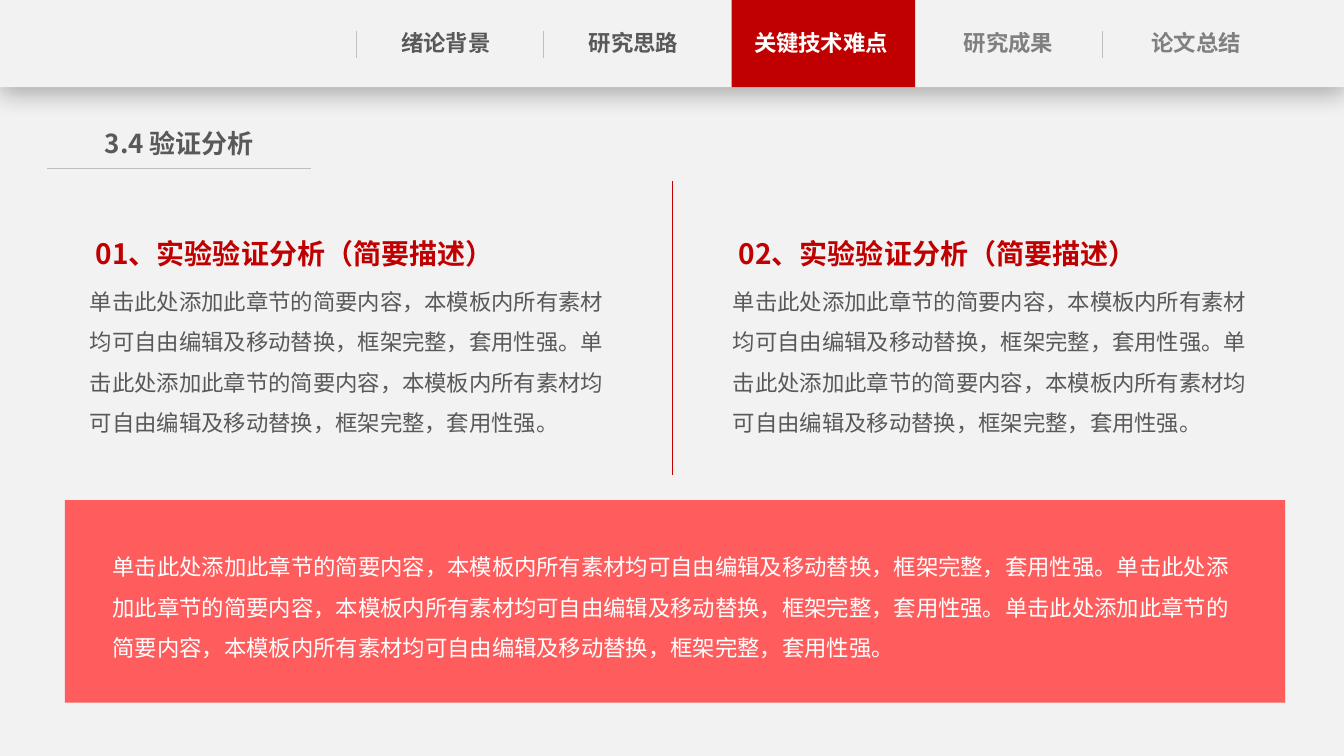
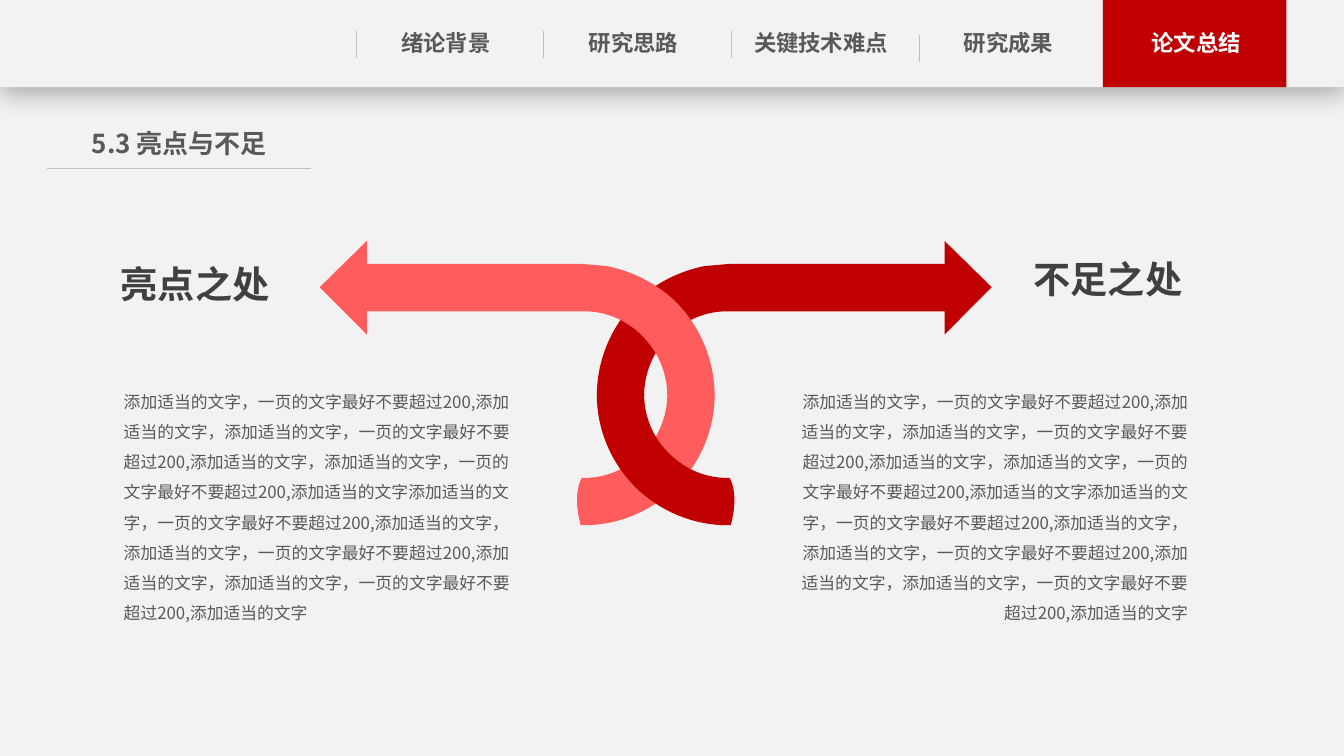
from lxml.etree import SubElement
from pptx import Presentation
from pptx.dml.color import RGBColor as RGB
from pptx.enum.shapes import MSO_CONNECTOR as LINK, MSO_SHAPE as SHAPE
from pptx.enum.text import PP_ALIGN as ALIGN
from pptx.oxml.ns import qn
from pptx.util import Pt

# Shared look
FONT = "Noto Sans CJK SC"
PALE = RGB(0xF2, 0xF2, 0xF2)
WHITE = RGB(0xFF, 0xFF, 0xFF)
RED = RGB(0xC0, 0x00, 0x00)
PINK = RGB(0xFF, 0x5D, 0x5D)
DARK = RGB(0x40, 0x40, 0x40)
TEXT = RGB(0x59, 0x59, 0x59)
GRAY = RGB(0x80, 0x80, 0x80)
RULE = RGB(0xBF, 0xBF, 0xBF)

WIDE, HIGH, BAND = 960, 540, 62.3
TABS = ["绪论背景", "研究思路", "关键技术难点", "研究成果", "论文总结"]
MARKS = [(254.5, 22.3), (388.3, 22.3), (522.5, 22.3), (656.6, 24.8), (787.7, 22.3)]

# Repeated wording
INTRO = "单击此处添加此章节的简要内容，本模板内所有素材均可自由编辑及移动替换，框架完整，套用性强。"
FIRST = "添加适当的文字，一页的文字最好不要超过200,"
AGAIN = "添加适当的文字，" + FIRST
NOTE = FIRST + AGAIN * 2 + "添加适当的文字" + FIRST + AGAIN * 2 + "添加适当的文字"


def write(slide, box, words, size, color, bold=False, align=ALIGN.LEFT,
          space=1, pad=(7.2, 3.6), wrap=True):
    frame = slide.shapes.add_textbox(*map(Pt, box)).text_frame
    frame.word_wrap = wrap
    frame.margin_left = frame.margin_right = Pt(pad[0])
    frame.margin_top = frame.margin_bottom = Pt(pad[1])
    para = frame.paragraphs[0]
    para.text = words
    para.alignment = align
    para.line_spacing = space
    font = para.font
    font.name, font.size, font.bold = FONT, Pt(size), bold
    font.color.rgb = color
    props = para._p.find(".//" + qn("a:defRPr"))
    SubElement(props, qn("a:ea"), typeface=FONT)


def paint(shape, color):
    shape.shadow.inherit = False
    shape.fill.solid()
    shape.fill.fore_color.rgb = color
    shape.line.fill.background()
    return shape


deck = Presentation()
deck.slide_width, deck.slide_height = Pt(WIDE), Pt(HIGH)
check, review = [deck.slides.add_slide(deck.slide_layouts[6]) for _ in range(2)]

# Pale sheet, moved to the master behind every slide
sheet = paint(check.shapes.add_shape(SHAPE.RECTANGLE, 0, 0, Pt(WIDE), Pt(HIGH)), PALE)
sheet._element.nvSpPr.cNvPr.set("id", "99")
deck.slide_master.shapes.element.insert(2, sheet._element)

# Title, active tab, extra blocks and extra lines of each slide
pages = [
    (check, "3.4 验证分析", 2, [((46.3, 357.2, 871.7, 144.8), PINK)],
     [((480.2, 129.6, 480.2, 339.1), RED)]),
    (review, "5.3 亮点与不足", 4, [], []),
]
for slide, title, now, blocks, lines in pages:
    # Header band, active tab and blocks
    base = [((0, 0, WIDE, BAND), PALE), ((MARKS[now][0], 0, 131.1, BAND), RED)]
    rects = [paint(slide.shapes.add_shape(SHAPE.RECTANGLE, *map(Pt, box)), color)
             for box, color in base + blocks]
    effect = rects[0]._element.spPr.find(qn("a:effectLst"))
    shade = SubElement(effect, qn("a:outerShdw"), blurRad=str(Pt(18)),
                       dist=str(Pt(4)), dir="5400000", algn="t", rotWithShape="0")
    tint = SubElement(shade, qn("a:srgbClr"), val="000000")
    SubElement(tint, qn("a:alpha"), val="29000")

    # Tab marks, title rule and extra lines
    rules = [((x, y, x, y + 19.3), RULE) for i, (x, y) in enumerate(MARKS)
             if i not in (now, now + 1)]
    rules.append(((33.8, 120.2, 222.5, 120.2), RULE))
    for ends, color in rules + lines:
        line = slide.shapes.add_connector(LINK.STRAIGHT, *map(Pt, ends))
        line.line.color.rgb = color
        line.line.width = Pt(0.5)
        SubElement(line._element.spPr, qn("a:effectLst"))

    # Tab names and title
    for i, name in enumerate(TABS):
        color = WHITE if i == now else TEXT if i < now else GRAY
        write(slide, (265.6 + 134 * i, 17.3, 105.8, 27.4), name, 16, color,
              True, ALIGN.CENTER, pad=(0, 3.6))
    write(slide, (53.6, 87.4, 149, 30.2), title, 18.6, TEXT, True,
          ALIGN.CENTER, pad=(0, 3.6))

# Two text columns and the block text
for i in range(2):
    left = 459.3 * i
    write(check, (61.3 + left, 153.4, 361.4, 39.6),
          f"0{i + 1}、实验验证分析（简要描述）", 20, RED, True, space=1.5)
    write(check, (57.2 + left, 192.8, 386.6, 123.8), INTRO * 2, 16, TEXT, space=1.5)
write(check, (73.4, 382.3, 818, 94.3), INTRO * 3, 16, WHITE, space=1.5)

# Interlaced arrows, mirrored about the axis: pairs are lines, sixes are curves
AXIS = 468.4
upper = [
    (206.3, 172.1), (240, 205.2), (206.3, 239), (206.3, 222.5), (52.9, 222.5),
    (37, 221.8, 21.2, 228.2, 9.7, 239.8), (-1.8, 251.3, -8.3, 266.4, -8.3, 283),
    (-42.1, 283), (-42.1, 257.8, -32.1, 233.3, -14, 215.3),
    (-0.4, 202.3, 16.9, 193.7, 34.9, 190.1), (52.2, 188.6), (206.3, 188.6),
]
lower = [
    (-42.1, 281.5), (-42.1, 306.7, -32.1, 330.5, -14, 348.5),
    (4, 365.8, 28.4, 375.8, 53.6, 375.1), (56.5, 364.3, 57.9, 351.4, 52.9, 341.3),
    (37, 342, 21.2, 335.5, 9.7, 324), (-1.8, 313.2, -8.3, 297.4, -8.3, 281.5),
]
for part, side, color in [(upper, 1, RED), (upper, -1, PINK),
                          (lower, -1, PINK), (lower, 1, RED)]:
    dots = [(Pt(AXIS + side * x), Pt(y)) for step in part
            for x, y in zip(step[::2], step[1::2])]
    form = review.shapes.build_freeform(*dots[0])
    form.add_line_segments(dots[1:], close=True)
    bend = paint(form.convert_to_shape(), color)
    ends = iter(list(bend._element.iter(qn("a:lnTo"))))
    for step in part[1:]:
        node = next(ends)
        if len(step) == 6:
            node.addprevious(curve := SubElement(node, qn("a:cubicBezTo")))
            for spot in (node, next(ends), next(ends)):
                curve.append(spot[0])
                spot.getparent().remove(spot)

# Headings and notes on both sides
for name, spot, box, align in [
    ("亮点之处", (79.2, 182.9), (79.2, 268, 297, 183.6), ALIGN.LEFT),
    ("不足之处", (731, 179.7), (557.8, 268, 300, 183.6), ALIGN.RIGHT),
]:
    write(review, (*spot, 122.4, 39.6), name, 26.6, DARK, True, wrap=False)
    write(review, box, NOTE, 12, TEXT, align=align, space=1.5, pad=(9.2, 4.3))

deck.save("out.pptx")
